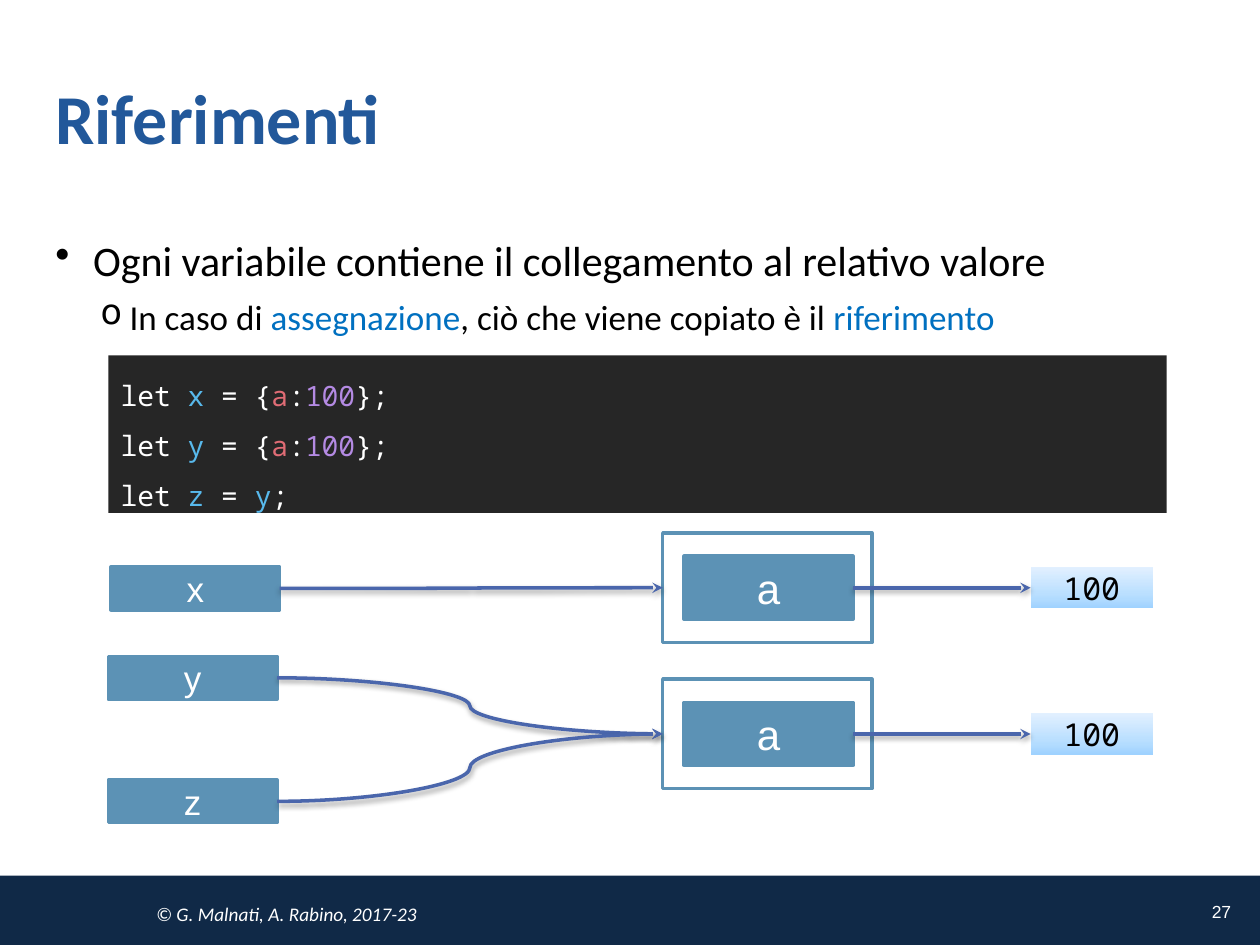
from copy import deepcopy
from lxml import etree
from pptx import Presentation
from pptx import util as u
from pptx.dml.color import RGBColor
from pptx.enum import shapes, text
from pptx.oxml import ns, parse_xml

NAVY = RGBColor(0x10, 0x29, 0x47)
BLUE = RGBColor(0x22, 0x58, 0x9A)
STEEL = RGBColor(0x5C, 0x92, 0xB5)
INDIGO = RGBColor(0x4A, 0x66, 0xAC)
LINK = RGBColor(0x00, 0x70, 0xC0)
DARK = RGBColor(0x26, 0x26, 0x26)
SKY = RGBColor(0x58, 0xB9, 0xEC)
RED = RGBColor(0xE0, 0x6C, 0x75)
VIOLET = RGBColor(0xB4, 0x8A, 0xE3)
WHITE = RGBColor(0xFF, 0xFF, 0xFF)
BLACK = RGBColor(0, 0, 0)
SHADE = (
    (0, RGBColor(0x9F, 0xD2, 0xFF)),
    (0.35, RGBColor(0xBA, 0xDF, 0xFF)),
    (1, RGBColor(0xE2, 0xF0, 0xFF)),
)
MONO = "Noto Sans Mono"
SHADOW = (
    '<a:effectLst %s><a:outerShdw blurRad="39370" dist="20320" dir="5400000" rotWithShape="0">'
    '<a:srgbClr val="000000"><a:alpha val="37000"/></a:srgbClr></a:outerShdw></a:effectLst>'
) % ns.nsdecls("a")


def apply(item, values):
    for name, value in values.items():
        setattr(item, name, value)


class Deck:
    COLS, ROWS = 100, 75

    def __init__(self, wide, high):
        self.show = Presentation()
        self.show.slide_width = u.Inches(wide)
        self.show.slide_height = u.Inches(high)
        self.slide = self.show.slides.add_slide(self.show.slide_layouts[5])

    def area(self, col, row, wide, high):
        x = self.show.slide_width / self.COLS
        y = self.show.slide_height / self.ROWS
        return [round(v) for v in (col * x, row * y, wide * x, high * y)]

    def frame(self, item, pad=0.05, anchor=text.MSO_ANCHOR.MIDDLE):
        side, edge = u.Inches(0.1), u.Inches(pad)
        apply(item.text_frame, dict(
            word_wrap=True, auto_size=text.MSO_AUTO_SIZE.NONE, vertical_anchor=anchor,
            margin_left=side, margin_right=side, margin_top=edge, margin_bottom=edge))
        return item.text_frame

    def put(self, para, parts, size, face="Calibri", align=text.PP_ALIGN.LEFT, **more):
        para.alignment = align
        for words, color in parts:
            if words == "\n":
                para.add_line_break()
                continue
            run = para.add_run()
            run.text = words
            apply(run.font, dict(name=face, size=u.Pt(size), **more))
            run.font.color.rgb = color

    def title(self, words, *spot):
        item = self.slide.shapes.title
        apply(item, dict(zip(("left", "top", "width", "height"), self.area(*spot))))
        self.put(self.frame(item).paragraphs[0], [(words, BLUE)], 40, bold=True)

    def label(self, words, spot, size, **form):
        item = self.slide.shapes.add_textbox(*self.area(*spot))
        self.put(self.frame(item, 0.1).paragraphs[0], [(words, WHITE)], size, **form)

    def bullets(self, spot, rows):
        item = self.slide.shapes.add_textbox(*self.area(*spot))
        body = self.frame(item, anchor=text.MSO_ANCHOR.TOP)
        for n, (mark, left, hang, gap, size, parts) in enumerate(rows):
            para = body.add_paragraph() if n else body.paragraphs[0]
            apply(para, dict(level=n, space_before=u.Pt(gap)))
            self.put(para, parts, size)
            props = para._p.get_or_add_pPr()
            props.set("marL", str(u.Inches(left)))
            props.set("indent", str(-u.Inches(hang)))
            etree.SubElement(props, ns.qn("a:buChar")).set("char", mark)

    def box(self, spot, fill, line=None):
        item = self.slide.shapes.add_shape(shapes.MSO_SHAPE.RECTANGLE, *self.area(*spot))
        item.shadow.inherit = False
        if fill:
            item.fill.solid()
            item.fill.fore_color.rgb = fill
        if line:
            item.line.color.rgb = line
            item.line.width = u.Pt(2)
        else:
            item.line.fill.background()
        return item

    def node(self, words, spot, size):
        item = self.box(spot, STEEL, STEEL)
        self.put(self.frame(item).paragraphs[0], [(words, WHITE)], size,
                 "Arial", text.PP_ALIGN.CENTER)
        return item

    def value(self, words, spot):
        item = self.box(spot, None)
        item.fill.gradient()
        item.fill.gradient_angle = 90
        stops = item.element.spPr.find(".//" + ns.qn("a:gsLst"))
        stops.insert(1, deepcopy(stops[0]))
        for stop, (place, color) in zip(item.fill.gradient_stops, SHADE):
            stop.position = place
            stop.color.rgb = color
        self.put(self.frame(item).paragraphs[0], [(words, BLACK)], 18,
                 MONO, text.PP_ALIGN.CENTER)
        return item

    def code(self, spot, parts):
        item = self.box(spot, DARK)
        para = self.frame(item, anchor=text.MSO_ANCHOR.TOP).paragraphs[0]
        para.line_spacing = 1.5
        self.put(para, parts, 16, MONO)

    def link(self, start, end):
        item = self.slide.shapes.add_connector(shapes.MSO_CONNECTOR.CURVE, 0, 0, 0, 0)
        item.begin_connect(start, 3)
        item.end_connect(end, 1)
        item.line.color.rgb = INDIGO
        item.line.width = u.Pt(2)
        props = item.element.spPr
        etree.SubElement(props.find(ns.qn("a:ln")), ns.qn("a:tailEnd")).set("type", "stealth")
        props.append(parse_xml(SHADOW))


deck = Deck(10, 7.5)
deck.box((0, 69.5, 100, 5.5), NAVY)
deck.label("© G. Malnati, A. Rabino, 2017-23", (11.4, 70, 73, 5.1), 11, italic=True)
deck.label("27", (92.7, 69.5, 6, 5.7), 10, face="Arial", align=text.PP_ALIGN.RIGHT)
deck.title("Riferimenti", 3.4, 2, 93.2, 14.5)
deck.bullets((3.4, 18.1, 93.2, 49.5), [
    ("•", 0.3, 0.3, 0, 24,
     [("Ogni variabile contiene il collegamento al relativo valore", BLACK)]),
    ("o", 0.59, 0.23, 6, 20,
     [("In caso di ", BLACK), ("assegnazione", LINK),
      (", ciò che viene copiato è il ", BLACK), ("riferimento", LINK)]),
])

objects = []
for row in (42.3, 53.9):
    outer = deck.box((52.6, row, 16.6, 8.7), WHITE, STEEL)
    inner = deck.node("a", (54.3, row + 1.85, 13.4, 5), 24)
    deck.link(inner, deck.value("100", (81.8, row + 2.7, 9.7, 3.3)))
    objects.append(outer)

for name, col, row, goal in (("x", 8.8, 45, 0), ("y", 8.6, 52.1, 1), ("z", 8.6, 61.9, 1)):
    deck.link(deck.node(name, (col, row, 13.4, 3.4), 20), objects[goal])

lines = []
for name in "xy":
    lines += [("let ", WHITE), (name + " ", SKY), ("= {", WHITE), ("a", RED),
              (":", WHITE), ("100", VIOLET), ("};", WHITE), ("\n", WHITE)]
lines += [("let ", WHITE), ("z ", SKY), ("= ", WHITE), ("y", SKY), (";", WHITE)]
deck.code((8.6, 28.2, 84, 12.5), lines)
deck.show.save("out.pptx")
